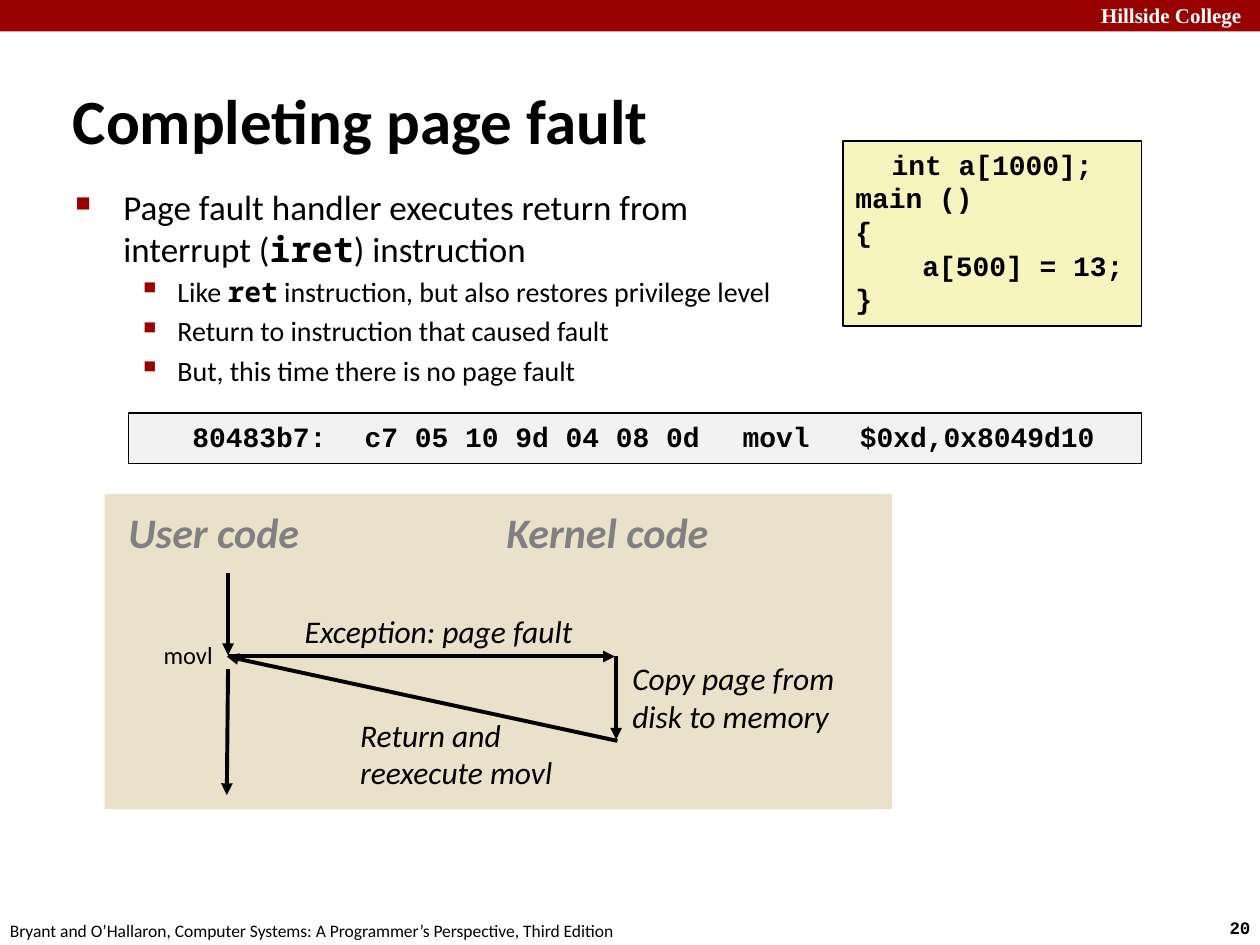
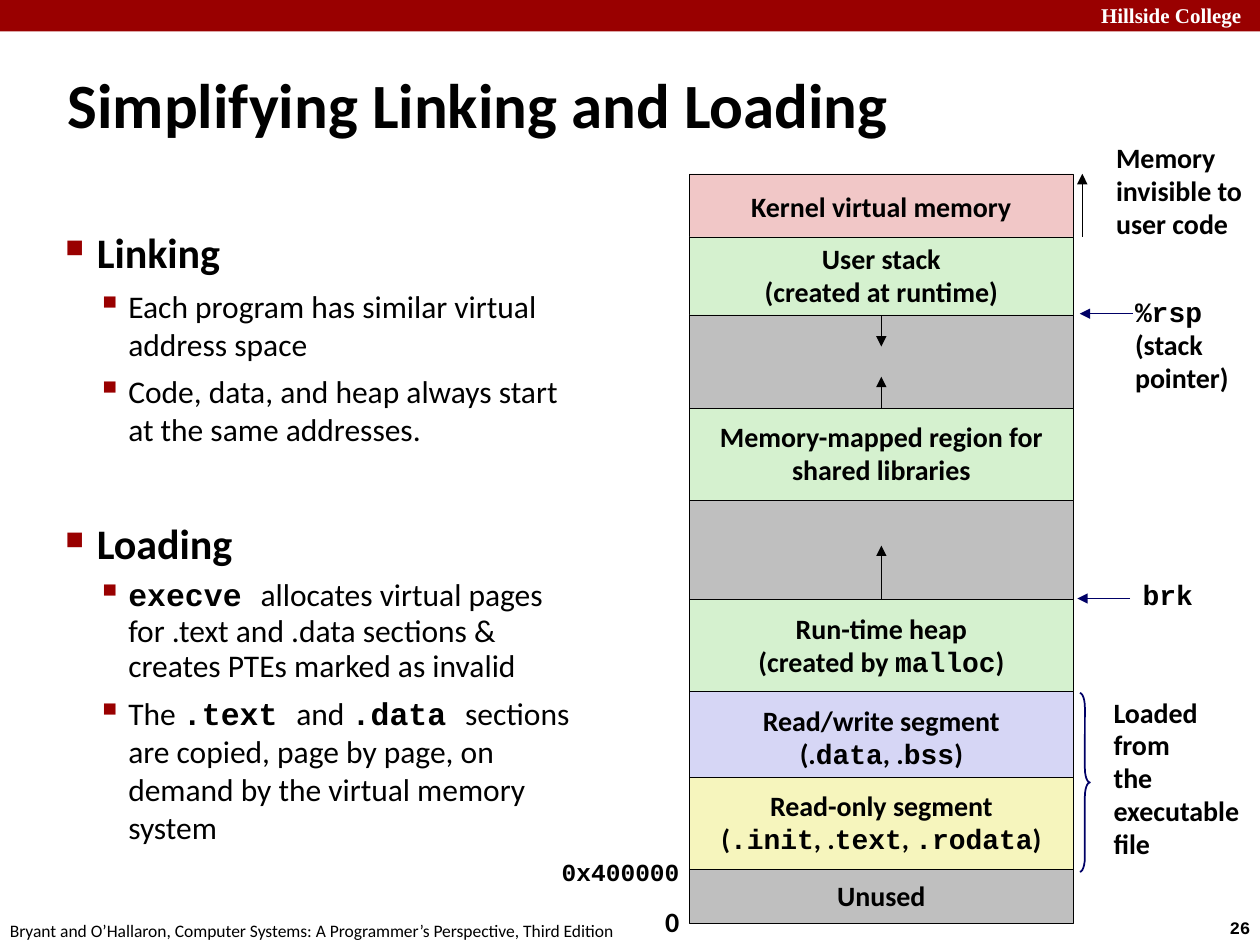
from pptx import Presentation
from pptx.dml.color import RGBColor
from pptx.enum.shapes import MSO_CONNECTOR, MSO_SHAPE
from pptx.enum.text import MSO_ANCHOR, MSO_AUTO_SIZE, PP_ALIGN
from pptx.oxml.ns import qn
from pptx.util import Inches, Pt
from lxml.etree import SubElement

BLACK = RGBColor(0x00, 0x00, 0x00)
WHITE = RGBColor(0xFF, 0xFF, 0xFF)
CRIMSON = RGBColor(0x99, 0x00, 0x00)
GREY = RGBColor(0x80, 0x80, 0x80)
SILVER = RGBColor(0xBF, 0xBF, 0xBF)
PALE_GREY = RGBColor(0xF2, 0xF2, 0xF2)
SAND = RGBColor(0xE9, 0xE1, 0xC9)
YELLOW = RGBColor(0xF6, 0xF5, 0xBD)
PINK = RGBColor(0xF1, 0xC7, 0xC7)
GREEN = RGBColor(0xD5, 0xF1, 0xCF)
LILAC = RGBColor(0xD6, 0xD6, 0xF5)
NAVY = RGBColor(0x00, 0x00, 0x66)

SANS, SERIF, MONO, WIDE_MONO = "Calibri", "Times New Roman", "Courier New", "Noto Sans Mono"

# Text between backticks is set in bold code type.
SCHOOL = "Hillside College"
FOOTER = "Bryant and O’Hallaron, Computer Systems: A Programmer’s Perspective, Third Edition"

BASE = {"name": SANS, "size": 16, "bold": False, "italic": False, "color": BLACK}
TITLE = {"size": 36, "bold": True}
BRAND = {"name": SERIF, "size": 12, "bold": True, "color": WHITE}
NUMBER = {"name": MONO, "size": 10, "bold": True}
CODE = {"name": MONO, "bold": True}
COLUMN_HEAD = {"size": 24, "bold": True, "italic": True, "color": GREY}
STEP = {"size": 18, "italic": True}
LABEL = {"bold": True, "line_spacing": 0.98}
SEGMENT = {**LABEL, "alignment": PP_ALIGN.CENTER}

SQUARE = {"glyph": "■", "scale": 60}
DOT = {"glyph": "▪", "scale": 110}
FAULT_POINT = {**SQUARE, "size": 20, "left": 0.38, "hang": 0.38, "code": WIDE_MONO}
FAULT_DETAIL = {**DOT, "left": 0.81, "hang": 0.31, "space_before": Pt(3.2), "code": WIDE_MONO}
TOPIC = {**SQUARE, "size": 24, "bold": True, "left": 0.25, "hang": 0.25, "space_before": Pt(12.5)}
DETAIL = {**DOT, "size": 18, "left": 0.5, "hang": 0.25, "space_before": Pt(5.6)}

FAULT_BULLETS = [
    ("Page fault handler executes return from interrupt (`iret`) instruction", FAULT_POINT),
    ("Like `ret` instruction, but also restores privilege level", FAULT_DETAIL),
    ("Return to instruction that caused fault", FAULT_DETAIL),
    ("But, this time there is no page fault", FAULT_DETAIL),
]
PROGRAM = ["int a[1000];", "main ()", "{", "    a[500] = 13;", "}"]
DISASSEMBLY = [" 80483b7:\tc7 05 10 9d 04 08 0d \tmovl   $0xd,0x8049d10"]

# lines, (left, top, width, height), style, wraps
FLOW_LABELS = [
    (["User code"], (0.92, 3.97, 1.65, 0.5), COLUMN_HEAD, False),
    (["Kernel code"], (3.92, 3.97, 1.91, 0.5), COLUMN_HEAD, False),
    (["Exception: page fault"], (2.32, 4.81, 2.42, 0.4), STEP, False),
    (["Copy page from disk to memory"], (4.92, 5.18, 2.16, 0.7), STEP, True),
    (["Return and reexecute movl"], (2.76, 5.63, 1.99, 0.7), STEP, True),
    (["movl"], (1.2, 5.03, 0.6, 0.34), {"size": 14}, False),
]
FLOW_ARROWS = [
    ((1.81, 4.55), (1.81, 5.2)),
    ((1.81, 5.21), (4.88, 5.21)),
    ((4.89, 5.21), (4.89, 5.87)),
    ((4.9, 5.88), (1.8, 5.21)),
    ((1.81, 5.31), (1.8, 6.31)),
]

LINKING_BULLETS = [
    ("Linking", TOPIC),
    ("Each program has similar virtual address space", DETAIL),
    ("Code, data, and heap always start at the same addresses.", DETAIL),
    ("Loading", {**TOPIC, "space_before": Pt(40)}),
    ("`execve `allocates virtual pages for .text and .data sections & "
     "creates PTEs marked as invalid", {**DETAIL, "line_spacing": 0.94}),
    ("The `.text `and `.data `sections are copied, page by page, on demand "
     "by the virtual memory system", DETAIL),
]

# name: top, height, fill, lines; each segment covers the lower edge of the one above
MEMORY_LEFT, MEMORY_WIDTH = 5.47, 3.05
MEMORY = {
    "kernel": (1.38, 0.53, PINK, ["Kernel virtual memory"]),
    "stack": (1.88, 0.62, GREEN, ["User stack", "(created at runtime)"]),
    "stack gap": (2.5, 0.74, SILVER, []),
    "mapped": (3.24, 0.73, GREEN, ["Memory-mapped region for", "shared libraries"]),
    "heap gap": (3.97, 0.79, SILVER, []),
    "heap": (4.76, 0.73, GREEN, ["Run-time heap", "(created by `malloc`)"]),
    "data": (5.49, 0.73, LILAC, ["Read/write segment", "(.`data`, .`bss`)"]),
    "text": (6.17, 0.73, YELLOW, ["Read-only segment", "(`.init`, .`text`, `.rodata`)"]),
    "unused": (6.9, 0.43, SILVER, ["Unused"]),
}
# segment, connection site, y of the arrowhead
GROWTH = [("stack", 2, 2.75), ("mapped", 0, 2.99), ("heap", 0, 4.33)]
POINTERS = [
    ((8.59, 1.88), (8.59, 1.38), BLACK),
    ((8.99, 2.49), (8.57, 2.49), NAVY),
    ((8.97, 4.75), (8.55, 4.75), NAVY),
]
TIGHT = {"line_spacing": 0.94}
MEMORY_LABELS = [
    (["Memory", "invisible to", "user code"], (8.76, 1.08, 1.26, 0.89)),
    ([("`%rsp`", TIGHT), "(stack", "pointer)"], (8.91, 2.31, 0.95, 0.88)),
    ([("`brk`", TIGHT)], (8.97, 4.56, 0.6, 0.36)),
    (["Loaded", "from", "the", "executable", "file"], (8.74, 5.48, 1.26, 1.42)),
    ([("`0x400000`", {**TIGHT, "size": 14})], (4.36, 6.77, 1.14, 0.33)),
    (["0"], (5.18, 7.14, 0.31, 0.37)),
]


def add_bullet(para, look):
    props = para._p.get_or_add_pPr()
    props.set("marL", str(Inches(look["left"])))
    props.set("indent", str(-Inches(look["hang"])))
    color = SubElement(props, qn("a:buClr"))
    SubElement(color, qn("a:srgbClr"), val=str(CRIMSON))
    SubElement(props, qn("a:buSzPct"), val=str(look["scale"] * 1000))
    SubElement(props, qn("a:buChar"), char=look["glyph"])


def write(frame, lines, style):
    """Fill a frame with lines; a line is a text or a (text, style) pair."""
    for index, line in enumerate(lines):
        text, own = line if isinstance(line, tuple) else (line, {})
        look = {**BASE, **style, **own}
        para = frame.paragraphs[0] if index == 0 else frame.add_paragraph()
        for key in ("alignment", "line_spacing", "space_before"):
            if key in look:
                setattr(para, key, look[key])
        if "glyph" in look:
            add_bullet(para, look)
        for position, part in enumerate(text.split("`")):
            if not part:
                continue
            span = para.add_run()
            span.text = part
            values = {key: look[key] for key in ("name", "bold", "italic")}
            if position % 2:
                values.update(name=look.get("code", MONO), bold=True)
            for key, value in values.items():
                setattr(span.font, key, value)
            span.font.size = Pt(look["size"])
            span.font.color.rgb = look["color"]


def set_frame(frame, wraps, grows, anchor):
    frame.word_wrap = wraps
    frame.auto_size = MSO_AUTO_SIZE.SHAPE_TO_FIT_TEXT if grows else MSO_AUTO_SIZE.NONE
    frame.vertical_anchor = anchor


def add_text(page, lines, place, style, wraps=False, grows=True, anchor=MSO_ANCHOR.TOP):
    box = page.shapes.add_textbox(*map(Inches, place))
    set_frame(box.text_frame, wraps, grows, anchor)
    write(box.text_frame, lines, style)


def add_box(page, place, fill, line_width=None, lines=(), style=BASE,
            grows=False, anchor=MSO_ANCHOR.MIDDLE):
    box = page.shapes.add_shape(MSO_SHAPE.RECTANGLE, *map(Inches, place))
    box.shadow.inherit = False
    box.fill.solid()
    box.fill.fore_color.rgb = fill
    if line_width:
        box.line.color.rgb = BLACK
        box.line.width = Pt(line_width)
    else:
        box.line.fill.background()
    if lines:
        set_frame(box.text_frame, False, grows, anchor)
        write(box.text_frame, lines, style)
    return box


def add_arrow(page, start, end, width, color=BLACK):
    arrow = page.shapes.add_connector(MSO_CONNECTOR.STRAIGHT, *map(Inches, start + end))
    arrow.line.color.rgb = color
    arrow.line.width = Pt(width)
    SubElement(arrow.line._get_or_add_ln(), qn("a:tailEnd"), type="triangle")
    SubElement(arrow._element.spPr, qn("a:effectLst"))
    return arrow


def add_page(deck, number, title, title_place):
    """Add a slide with the shared band, footer, number and title."""
    page = deck.slides.add_slide(deck.slide_layouts[6])
    add_box(page, (0, 0, 10, 0.25), CRIMSON)
    add_text(page, [SCHOOL], (8.64, -0.03, 1.43, 0.3), BRAND, wraps=True)
    add_text(page, [str(number)], (9.66, 7.23, 0.45, 0.27), NUMBER)
    add_text(page, [FOOTER], (-0.02, 7.25, 5.08, 0.27), {"size": 10})
    add_text(page, [title], title_place, TITLE, wraps=True, grows=False,
             anchor=MSO_ANCHOR.MIDDLE)
    return page


def build_page_fault(deck):
    page = add_page(deck, 20, "Completing page fault", (0.48, 0.64, 8.63, 0.61))
    add_box(page, (0.83, 3.92, 6.25, 2.5), SAND)
    add_text(page, FAULT_BULLETS, (0.5, 1.42, 5.92, 1.95), BASE, wraps=True, grows=False)
    for lines, place, fill in (
        (PROGRAM, (6.69, 1.12, 2.37, 1.47), YELLOW),
        (DISASSEMBLY, (1.02, 3.28, 8.04, 0.4), PALE_GREY),
    ):
        add_box(page, place, fill, 1, lines, CODE, grows=True, anchor=MSO_ANCHOR.TOP)
    for start, end in FLOW_ARROWS:
        add_arrow(page, start, end, 2.25)
    for lines, place, style, wraps in FLOW_LABELS:
        add_text(page, lines, place, style, wraps)


def build_linking(deck):
    page = add_page(deck, 26, "Simplifying Linking and Loading", (0.44, 0.39, 9.06, 0.86))
    add_text(page, LINKING_BULLETS, (0.42, 1.75, 4.33, 5.23), BASE, wraps=True, grows=False)

    segments = {}
    for name, (top, height, fill, lines) in MEMORY.items():
        place = (MEMORY_LEFT, top, MEMORY_WIDTH, height)
        segments[name] = add_box(page, place, fill, 0.25, lines, SEGMENT)
    center = MEMORY_LEFT + MEMORY_WIDTH / 2
    for name, site, tip in GROWTH:
        arrow = add_arrow(page, (center, MEMORY[name][0]), (center, tip), 0.25)
        arrow.begin_connect(segments[name], site)

    for start, end, color in POINTERS:
        add_arrow(page, start, end, 0.25, color)
    for lines, place in MEMORY_LABELS:
        add_text(page, lines, place, LABEL)

    brace = page.shapes.add_shape(
        MSO_SHAPE.RIGHT_BRACE, *map(Inches, (8.57, 5.5, 0.08, 1.42)))
    brace.shadow.inherit = False
    brace.fill.background()
    brace.line.color.rgb = NAVY
    brace.line.width = Pt(1)
    brace.adjustments[0] = 1.42


def main():
    deck = Presentation()
    deck.slide_width, deck.slide_height = Inches(10), Inches(7.5)
    build_page_fault(deck)
    build_linking(deck)
    deck.save("out.pptx")


if __name__ == "__main__":
    main()
